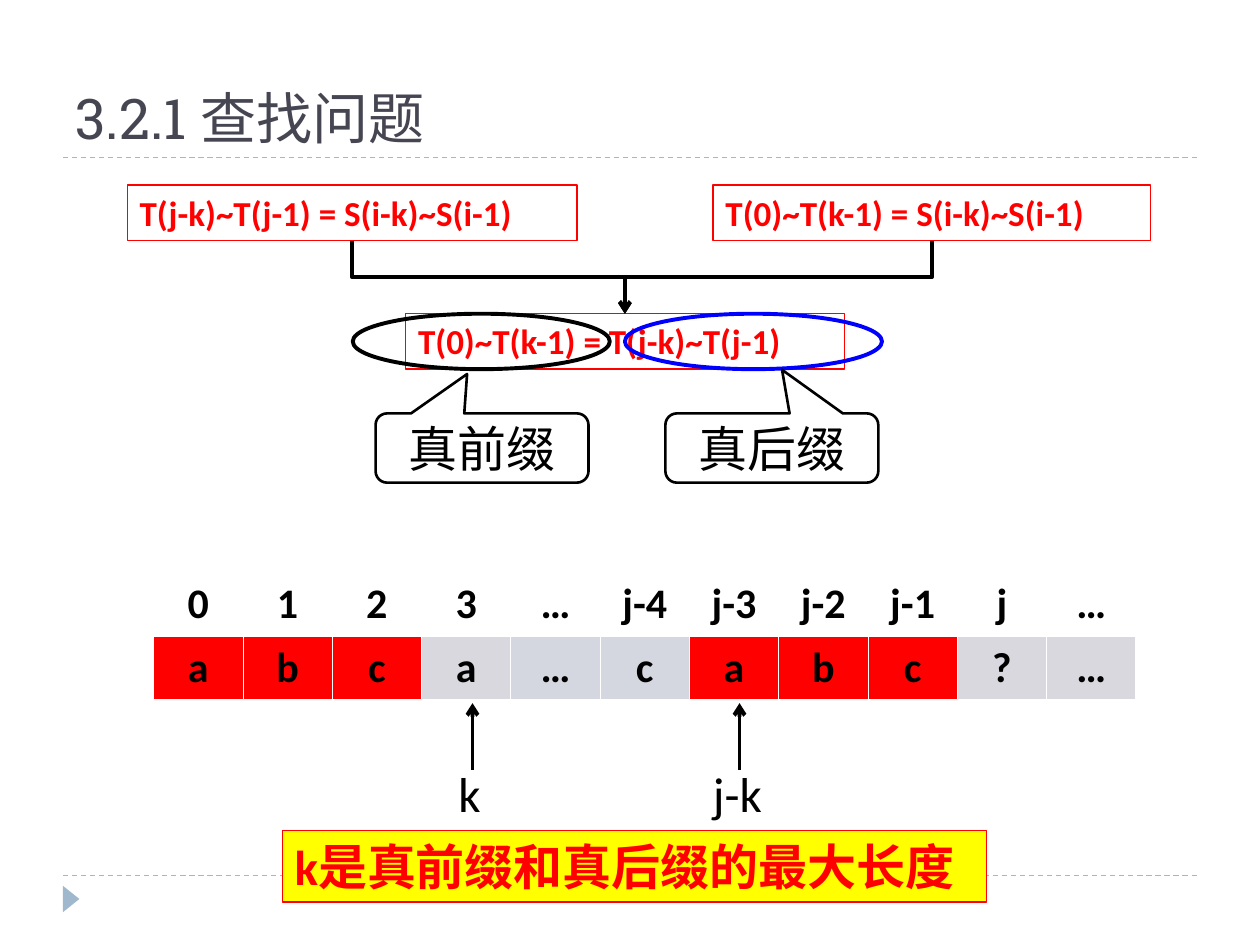
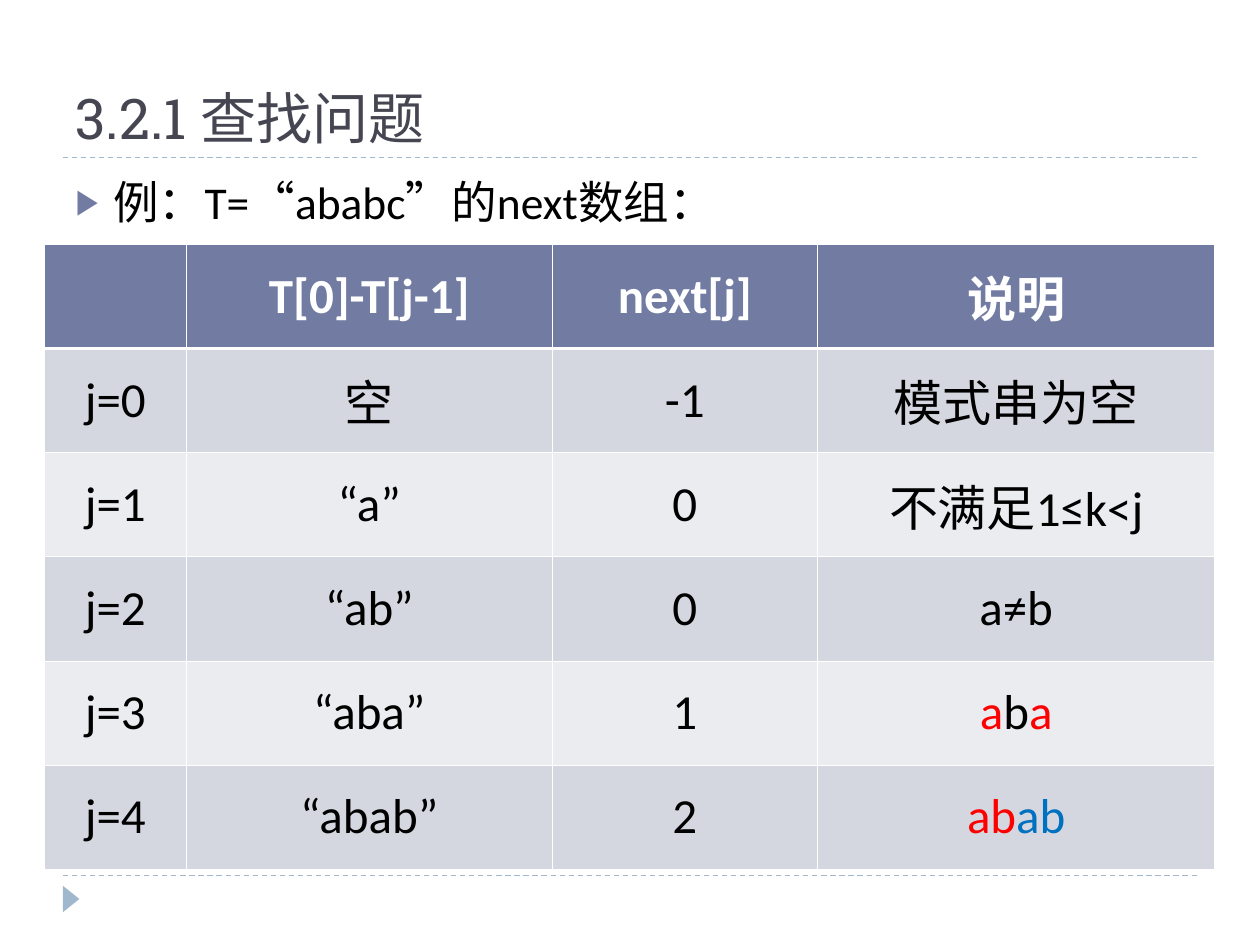
import pptx
import pptx.dml.color
import pptx.enum.dml
import pptx.enum.shapes
import pptx.enum.text
import pptx.oxml.ns
import pptx.util
import lxml.etree

Pt = pptx.util.Pt
RGB = pptx.dml.color.RGBColor
KIND = pptx.enum.shapes.MSO_SHAPE
LINK = pptx.enum.shapes.MSO_CONNECTOR
ALIGN = pptx.enum.text.PP_ALIGN
ANCHOR = pptx.enum.text.MSO_ANCHOR
DASH = pptx.enum.dml.MSO_LINE.DASH

BLACK = RGB(0, 0, 0)
WHITE = RGB(255, 255, 255)
RED = RGB(255, 0, 0)
BLUE = RGB(0, 0, 255)
AZURE = RGB(0x00, 0x70, 0xC0)
YELLOW = RGB(255, 255, 0)
INK = RGB(0x46, 0x46, 0x53)
SKY = RGB(0x9F, 0xB8, 0xCD)
SLATE = RGB(0x72, 0x7C, 0xA3)
MIST = RGB(0xD5, 0xD7, 0xE0)
PALE = RGB(0xEB, 0xEC, 0xF0)
ASH = RGB(0xD8, 0xD8, 0xDE)

TITLE = {"name": "Roboto Slab", "size": Pt(32), "color": INK}
LIST = {"name": "Calibri", "size": Pt(26), "color": BLACK}
RULE = {"name": "Calibri", "size": Pt(20), "color": RED, "bold": True}
INDEX = {"name": "Calibri", "size": Pt(24), "color": BLACK, "bold": True}
PLAIN = {"name": "Calibri", "size": Pt(28), "color": BLACK, "bold": False}
HEAD = {**PLAIN, "color": WHITE, "bold": True}
CLAIM = {**HEAD, "color": RED}
THIN, THICK = 0.45, 1.47


def points(*values):
    """Turn numbers into lengths in points."""
    return [Pt(value) for value in values]


def node(parent, tag, **attrs):
    """Append a DrawingML element to its parent."""
    return lxml.etree.SubElement(parent, pptx.oxml.ns.qn("a:" + tag), attrs)


def write(frame, runs, form, align=ALIGN.LEFT):
    """Fill the first paragraph with plain text or (text, colour) runs."""
    para = frame.paragraphs[0]
    para.alignment = align
    para.space_before = Pt(0)
    for text, color in [(runs, None)] if isinstance(runs, str) else runs:
        run = para.add_run()
        run.text = text
        for key, value in form.items():
            if key == "color":
                run.font.color.rgb = color or value
            else:
                setattr(run.font, key, value)
    return para


def draw(slide, kind, box, line=None, width=0.75, fill=None):
    """Add a flat preset shape."""
    shape = slide.shapes.add_shape(kind, *points(*box))
    shape.shadow.inherit = False
    for part, color in ((shape.fill, fill), (shape.line.fill, line)):
        if color is None:
            part.background()
        else:
            part.solid()
            part.fore_color.rgb = color
    if line is not None:
        shape.line.width = Pt(width)
    return shape


def label(slide, box, text, form, **look):
    """Add a rectangle holding one left-aligned line of text."""
    shape = draw(slide, KIND.RECTANGLE, box, **look)
    frame = shape.text_frame
    frame.word_wrap = True
    frame.vertical_anchor = ANCHOR.TOP
    write(frame, text, form)
    return shape


def link(slide, ends, color=BLACK, width=2.25, kind=LINK.STRAIGHT, dash=None, arrow=True):
    """Add a flat connector, with an arrowhead at its end if wanted."""
    wire = slide.shapes.add_connector(kind, *points(*ends))
    wire.line.color.rgb = color
    wire.line.width = Pt(width)
    if dash:
        wire.line.dash_style = dash
    if arrow:
        node(wire.line._get_or_add_ln(), "tailEnd", type="arrow")
    node(wire._element.spPr, "effectLst")
    return wire


def elbow(slide, start, goal):
    """Lead from the bottom of one box down to the top of another."""
    wire = link(slide, (0, 0, 1, 1), kind=LINK.ELBOW)
    wire.begin_connect(start, 2)
    wire.end_connect(goal, 0)
    left, right = sorted((wire.begin_x, wire.end_x))
    top, drop, span = wire.begin_y, wire.end_y - wire.begin_y, right - left
    ahead = wire.end_x > wire.begin_x
    place = {"left": (left + right - drop) // 2, "top": top + (drop - span) // 2,
             "width": drop, "height": span}
    for key, value in place.items():
        setattr(wire, key, value)
    form = wire._element.spPr.xfrm
    for key in ("flipH", "flipV"):
        form.attrib.pop(key, None)
    form.set("rot", str((270 if ahead else 90) * 60000))
    if ahead:
        form.set("flipH", "1")


def page(deck, layout, title):
    """Add a slide with the shared title, dashed rules and corner mark."""
    slide = deck.slides.add_slide(deck.slide_layouts[layout])
    for y in (500.4, 90):
        link(slide, (36, y, 684, y), SKY, 0.75, dash=DASH, arrow=False)
    draw(slide, KIND.ISOSCELES_TRIANGLE, (33.1, 509, 15.1, 9.4), fill=SKY).rotation = 90
    head = slide.shapes.title
    head.left, head.top, head.width, head.height = points(36, 12.2, 648, 77.8)
    head.text_frame.vertical_anchor = ANCHOR.BOTTOM
    write(head.text_frame, title, TITLE)
    return slide


def cell(spot, runs, form, fill, top, bottom):
    """Format one table cell with white borders."""
    props = spot._tc.get_or_add_tcPr()
    for side, width in (("lnL", THIN), ("lnR", THIN), ("lnT", top), ("lnB", bottom)):
        edge = node(props, side, w=str(Pt(width)))
        node(node(edge, "solidFill"), "srgbClr", val=str(WHITE))
    if fill is None:
        spot.fill.background()
    else:
        spot.fill.solid()
        spot.fill.fore_color.rgb = fill
    spot.vertical_anchor = ANCHOR.MIDDLE
    if runs:
        write(spot.text_frame, runs, form, ALIGN.CENTER)


def grid(slide, x, y, cols, high, rows, fills, forms):
    """Add a table with a heavier line under its first row."""
    size = points(x, y, sum(cols), high * len(rows))
    table = slide.shapes.add_table(len(rows), len(cols), *size).table
    for col, width in zip(table.columns, cols):
        col.width = Pt(width)
    for i, row in enumerate(rows):
        table.rows[i].height = Pt(high)
        for j, runs in enumerate(row):
            cell(table.cell(i, j), runs, forms[i], fills[i][j],
                 THICK if i == 1 else THIN, THICK if i == 0 else THIN)


def proof(slide, x, y):
    """Combine the two equations into the prefix and suffix equation."""
    look = {"line": RED}
    goal = label(slide, (x + 159.1, y + 73.5, 250.6, 31.7), "T(0)~T(k-1) = T(j-k)~T(j-1)", RULE, **look)
    pair = ((0, 257, "T(j-k)~T(j-1) = S(i-k)~S(i-1)"),
            (334.8, 249.8, "T(0)~T(k-1) = S(i-k)~S(i-1)"))
    for dx, wide, text in pair:
        elbow(slide, label(slide, (x + dx, y, wide, 31.7), text, RULE, **look), goal)
    parts = ((128.9, BLACK, 141.9, "真前缀", (-0.07, -1.068, 0.167)),
             (284.4, BLUE, 307.5, "真后缀", (0.048, -1.129, 0.167)))
    for ring, color, dx, text, tip in parts:
        draw(slide, KIND.OVAL, (x + ring, y + 73.5, 146.9, 31.7), color, 2.25)
        note = draw(slide, KIND.ROUNDED_RECTANGULAR_CALLOUT,
                    (x + dx, y + 130.4, 121.7, 39.6), BLACK, 1.5)
        for i, value in enumerate(tip):
            note.adjustments[i] = value
        note.text_frame.word_wrap = True
        note.text_frame.vertical_anchor = ANCHOR.MIDDLE
        write(note.text_frame, text, PLAIN, ALIGN.CENTER)


def array(slide, x, y):
    """Show the pattern array with its two pointers."""
    rows = ("0 1 2 3 … j-4 j-3 j-2 j-1 j …".split(), "a b c a … c a b c ? …".split())
    count = len(rows[0])
    fills = ([None] * count, [RED] * 3 + [ASH] + [MIST] * 2 + [RED] * 3 + [ASH] * 2)
    grid(slide, x, y, [51.05] * count, 36, rows, fills, (INDEX, INDEX))
    for text, dx, wide, tip in (("k", 167.1, 29.5, 182.2), ("j-k", 312.5, 45.4, 334.8)):
        name = slide.shapes.add_textbox(*points(x + dx, y + 105.8, wide, 41))
        name.text_frame.word_wrap = True
        write(name.text_frame, text, PLAIN)
        link(slide, (x + tip, y + 113, x + tip, y + 74.9))


def lead(slide, box, text):
    """Set the bulleted line in the body placeholder."""
    body = slide.placeholders[1]
    body.left, body.top, body.width, body.height = points(*box)
    para = body.text_frame.paragraphs[0]
    props = para._p.get_or_add_pPr()
    props.set("marL", str(Pt(21.6)))
    props.set("indent", str(Pt(-21.6)))
    node(node(props, "buClr"), "srgbClr", val=str(SLATE))
    node(props, "buSzPct", val="76000")
    node(props, "buChar", char="▶")
    write(body.text_frame, text, LIST)


def steps(slide, x, y):
    """Tabulate the next value for each index."""
    rows = (("", "T[0]-T[j-1]", "next[j]", "说明"),
            ("j=0", "空", "-1", "模式串为空"),
            ("j=1", "“a”", "0", "不满足1≤k<j"),
            ("j=2", "“ab”", "0", "a≠b"),
            ("j=3", "“aba”", "1", (("a", RED), ("b", BLACK), ("a", RED))),
            ("j=4", "“abab”", "2", (("ab", RED), ("ab", AZURE))))
    fills = [[color] * 4 for color in (SLATE, MIST, PALE, MIST, PALE, MIST)]
    grid(slide, x, y, (81.4, 208.8, 151.9, 226.8), 59.5, rows, fills, [HEAD] + [PLAIN] * 5)


def main():
    """Build and save the deck."""
    deck = pptx.Presentation()
    deck.slide_width, deck.slide_height = points(720, 540)
    title = "3.2.1 查找问题"

    slide = page(deck, 5, title)
    proof(slide, 72.7, 105.8)
    array(slide, 87.8, 326.9)
    label(slide, (161.3, 474.5, 402.5, 41), "k是真前缀和真后缀的最大长度", CLAIM, line=RED, fill=YELLOW)

    slide = page(deck, 1, title)
    lead(slide, (36, 95.8, 648, 388.8), "例：T=“ababc”的next数组：")
    steps(slide, 25.2, 139.7)
    deck.save("out.pptx")


if __name__ == "__main__":
    main()
